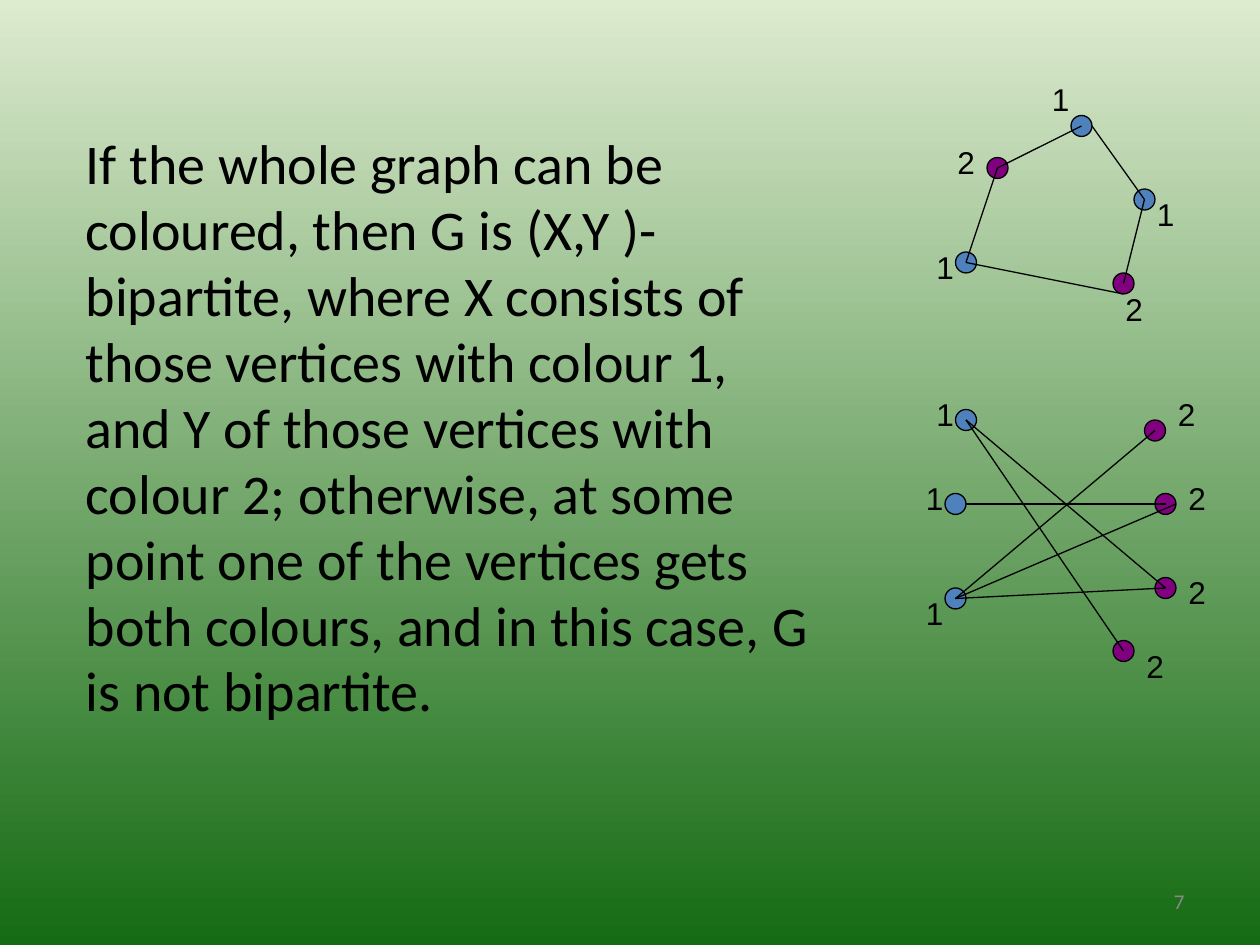
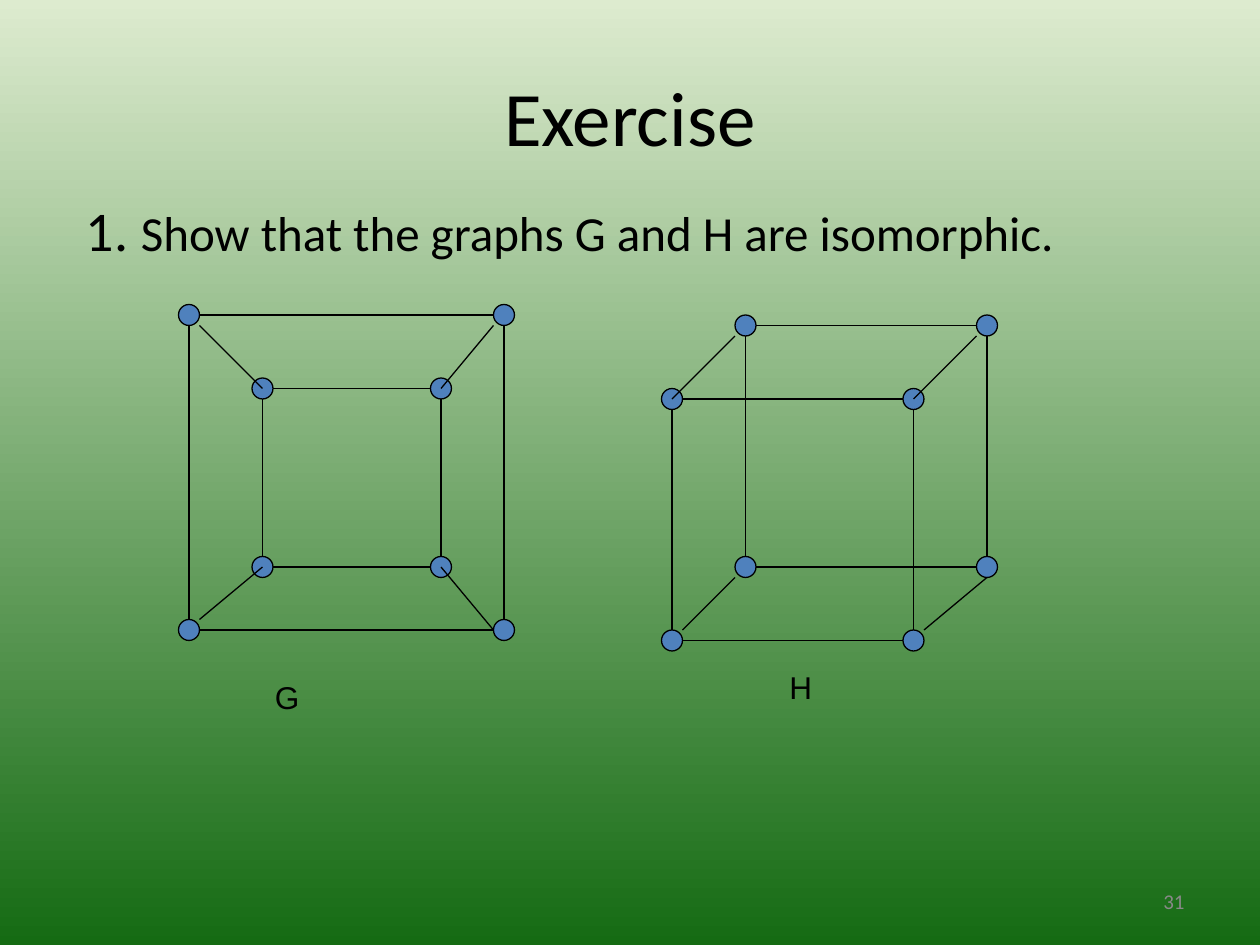
from dataclasses import dataclass

from lxml import etree
from pptx import Presentation
from pptx import util as u
from pptx.dml.color import RGBColor
from pptx.enum import shapes, text
from pptx.oxml import ns


@dataclass(frozen=True)
class Theme:
    sky: str = "DDEBCF"
    grass: str = "156B13"
    ink: str = "000000"
    muted: str = "898989"
    blue: str = "4F81BD"
    purple: str = "800080"
    text_font: str = "Calibri"
    label_font: str = "Arial"
    title_size: float = 44
    body_size: float = 32
    task_size: float = 28
    label_size: float = 18
    number_size: float = 12
    edge_width: float = 0.75


THEME = Theme()
VERTEX_COLOURS = {"1": THEME.blue, "2": THEME.purple}
GRID_PER_INCH = 12

CYCLE_VERTICES = [
    ("1", (4, 18), (0, 16)), ("2", (7, 9), (2, 6)), ("1", (15, 5), (11, 0)),
    ("1", (21, 12), (21, 11)), ("2", (19, 20), (18, 20)),
]
CYCLE_EDGES = [
    (7, 9, 4, 18), (7, 9, 15, 5), (16, 5, 21, 12), (21, 12, 19, 20), (19, 21, 4, 18),
]
BIPARTITE_VERTICES = [
    ("1", (5, 3), (1, 0)), ("1", (4, 11), (0, 8)), ("1", (4, 20), (0, 19)),
    ("2", (23, 4), (24, 0)), ("2", (24, 11), (25, 8)),
    ("2", (24, 19), (25, 17)), ("2", (20, 25), (21, 24)),
]
BIPARTITE_EDGES = [
    (5, 3, 20, 25), (4, 20, 23, 4), (5, 11, 24, 11),
    (5, 3, 24, 19), (25, 11, 4, 20), (4, 20, 24, 19),
]
G_SQUARES = [(1, 1, 30), (8, 8, 17)]
G_SPOKES = [(2, 2, 8, 8), (30, 2, 25, 8), (2, 30, 8, 25), (30, 31, 25, 25)]
H_SQUARES = [(8, 1, 23), (1, 8, 23)]
H_SPOKES = [(31, 25, 25, 30), (7, 25, 2, 30), (30, 2, 24, 8), (7, 2, 1, 8)]


def grid(*steps):
    return [u.Inches(step / GRID_PER_INCH) for step in steps]


def add_run(paragraph, words, size, font=THEME.text_font, colour=THEME.ink):
    run = paragraph.add_run()
    run.text = words
    run.font.name = font
    run.font.size = u.Pt(size)
    run.font.color.rgb = RGBColor.from_string(colour)


def place(part, left, top, width, height):
    part.left, part.top = u.Inches(left), u.Inches(top)
    part.width, part.height = u.Inches(width), u.Inches(height)


def paint_background(master):
    fill = master.background.fill
    fill.gradient()
    fill.gradient_angle = 270
    for stop, position, colour in zip(fill.gradient_stops, (0, 1), (THEME.sky, THEME.grass)):
        stop.position = position
        stop.color.rgb = RGBColor.from_string(colour)


def add_page_number(slide, number):
    box = slide.shapes.add_textbox(*map(u.Inches, (7.17, 6.95, 2.33, 0.4)))
    box.text_frame.word_wrap = True
    box.text_frame.vertical_anchor = text.MSO_ANCHOR.MIDDLE
    paragraph = box.text_frame.paragraphs[0]
    paragraph.alignment = text.PP_ALIGN.RIGHT
    add_run(paragraph, number, THEME.number_size, colour=THEME.muted)


def fill_title(slide, words):
    title = slide.shapes.title
    place(title, 0.75, 0.5, 8.5, 0.83)
    paragraph = title.text_frame.paragraphs[0]
    paragraph.alignment = text.PP_ALIGN.CENTER
    add_run(paragraph, words, THEME.title_size)


def fill_body(slide, box, runs, space_before, hanging=0, line_spacing=1.0):
    body = slide.placeholders[1]
    place(body, *box)
    body.text_frame.auto_size = text.MSO_AUTO_SIZE.NONE
    paragraph = body.text_frame.paragraphs[0]
    paragraph.space_before = u.Pt(space_before)
    paragraph.line_spacing = line_spacing
    properties = paragraph._p.get_or_add_pPr()
    properties.set("marL", str(u.Inches(hanging)))
    properties.set("indent", str(-u.Inches(hanging)))
    etree.SubElement(properties, ns.qn("a:buNone"))
    for words, size in runs:
        add_run(paragraph, words, size)


def add_vertex(slide, x, y, colour=THEME.blue):
    vertex = slide.shapes.add_shape(shapes.MSO_SHAPE.OVAL, *grid(x - 1, y - 1, 2, 2))
    vertex.shadow.inherit = False
    vertex.fill.solid()
    vertex.fill.fore_color.rgb = RGBColor.from_string(colour)
    vertex.line.color.rgb = RGBColor.from_string(THEME.ink)
    vertex.line.width = u.Pt(THEME.edge_width)


def add_edge(slide, x1, y1, x2, y2):
    edge = slide.shapes.add_connector(shapes.MSO_CONNECTOR.STRAIGHT, *grid(x1, y1, x2, y2))
    edge.line.color.rgb = RGBColor.from_string(THEME.ink)
    edge.line.width = u.Pt(THEME.edge_width)
    etree.SubElement(edge._element.spPr, ns.qn("a:effectLst"))


def add_label(slide, words, x, y, width):
    left, top, wide = grid(x, y, width)
    label = slide.shapes.add_textbox(left, top, wide, u.Inches(0.4))
    label.text_frame.word_wrap = True
    add_run(label.text_frame.paragraphs[0], words, THEME.label_size, THEME.label_font)


def add_edges(slide, origin, edges):
    left, top = origin
    for x1, y1, x2, y2 in edges:
        add_edge(slide, left + x1, top + y1, left + x2, top + y2)


def add_coloured_graph(slide, origin, vertices, edges, label_width):
    left, top = origin
    for colour, (x, y), _ in vertices:
        add_vertex(slide, left + x, top + y, VERTEX_COLOURS[colour])
    add_edges(slide, origin, edges)
    for colour, _, (x, y) in vertices:
        add_label(slide, colour, left + x, top + y, label_width)


def add_cube_graph(slide, origin, squares, spokes, name, name_at, name_width):
    left, top = origin
    for x, y, side in squares:
        far_x, far_y = x + side, y + side
        for corner_x in (x, far_x):
            for corner_y in (y, far_y):
                add_vertex(slide, left + corner_x, top + corner_y)
        rows = [(x + 1, row, far_x - 1, row) for row in (y, far_y)]
        columns = [(column, y + 1, column, far_y - 1) for column in (x, far_x)]
        add_edges(slide, origin, rows + columns)
    add_edges(slide, origin, spokes)
    add_label(slide, name, left + name_at[0], top + name_at[1], name_width)


def build_colouring_slide(deck):
    slide = deck.slides.add_slide(deck.slide_layouts[1])
    heading = slide.shapes.title._element
    heading.getparent().remove(heading)
    add_page_number(slide, "7")
    conclusion = (
        "If the whole graph can be coloured, then G is (X,Y )- bipartite, "
        "where X consists of those vertices with colour 1, and Y of those "
        "vertices with colour 2; otherwise, at some point one of the vertices "
        "gets both colours, and in this case, G is not bipartite."
    )
    fill_body(slide, (0.58, 1, 6, 4.92), [(conclusion, THEME.body_size)], 8, line_spacing=0.98)
    add_coloured_graph(slide, (88, 7), CYCLE_VERTICES, CYCLE_EDGES, 5)
    add_coloured_graph(slide, (87, 37), BIPARTITE_VERTICES, BIPARTITE_EDGES, 4)


def build_exercise_slide(deck):
    slide = deck.slides.add_slide(deck.slide_layouts[1])
    add_page_number(slide, "31")
    fill_title(slide, "Exercise")
    task = [
        ("1. ", THEME.body_size),
        ("Show that the graphs G and H are isomorphic.", THEME.task_size),
    ]
    fill_body(slide, (0.58, 1.5, 9, 4.5), task, 7, hanging=0.38)
    add_cube_graph(slide, (17, 29), G_SQUARES, G_SPOKES, "G", (8, 35), 12)
    add_cube_graph(slide, (63, 30), H_SQUARES, H_SPOKES, "H", (11, 33), 9)


def main():
    deck = Presentation()
    deck.slide_width, deck.slide_height = u.Inches(10), u.Inches(7.5)
    paint_background(deck.slide_master)
    build_colouring_slide(deck)
    build_exercise_slide(deck)
    deck.save("out.pptx")


if __name__ == "__main__":
    main()
